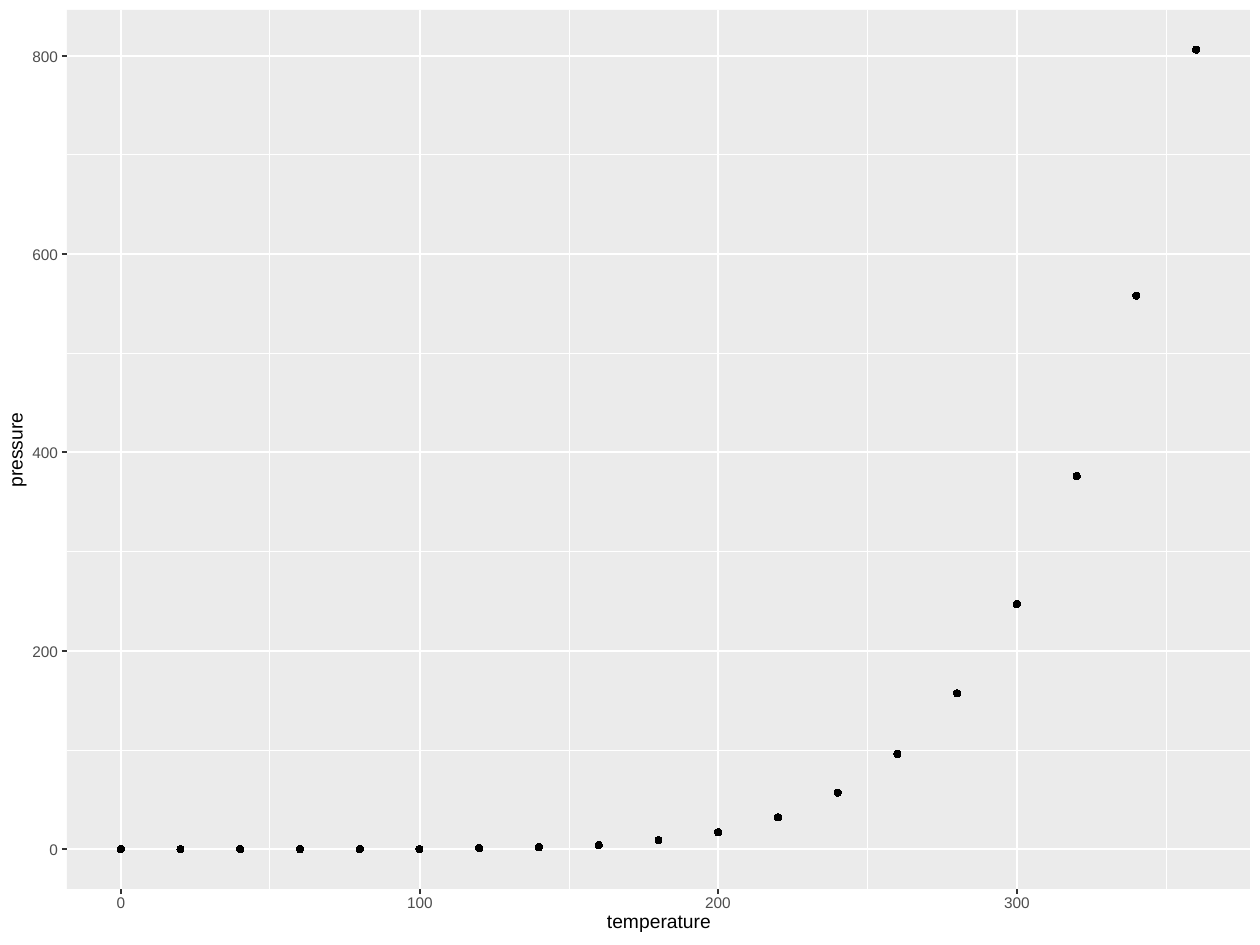
import pptx
import pptx.chart.data
import pptx.dml.color
import pptx.enum.chart
import pptx.enum.shapes
import pptx.enum.text
import pptx.oxml
import pptx.oxml.ns
import pptx.util

SCALE = 914400 / 126
LEFT, TOP, RIGHT, BOTTOM = 67, 10, 1250, 889
X_MIN, X_MAX = -18, 378
Y_MIN, Y_MAX = -40, 846
TEMPERATURES = range(0, 361, 20)
PRESSURES = [0, 0, 0, 0, 0, 0, 1, 2, 4, 9, 17, 32,
             57, 96, 157, 247, 376, 558, 806]
NAMESPACES = pptx.oxml.ns.nsdecls("c", "a")


def px(length):
    """Turn pixels into EMU."""
    return pptx.util.Emu(round(length * SCALE))


def color(value):
    """Turn a hex string into a colour."""
    return pptx.dml.color.RGBColor.from_string(value)


def x_at(value):
    """Give the horizontal place of a temperature, in pixels."""
    return round(LEFT + (value - X_MIN) / (X_MAX - X_MIN) * (RIGHT - LEFT))


def y_at(value):
    """Give the vertical place of a pressure, in pixels."""
    return round(BOTTOM - (value - Y_MIN) / (Y_MAX - Y_MIN) * (BOTTOM - TOP))


def add_panel(page, fill):
    """Add the plain rectangle behind the plot."""
    panel = page.shapes.add_shape(
        pptx.enum.shapes.MSO_SHAPE.RECTANGLE,
        px(LEFT), px(TOP), px(RIGHT - LEFT), px(BOTTOM - TOP))
    panel.shadow.inherit = False
    panel.fill.solid()
    panel.fill.fore_color.rgb = color(fill)
    panel.line.fill.background()


def add_line(page, start, end, stroke="FFFFFF", weight=1.07):
    """Add a straight line between two points."""
    line = page.shapes.add_connector(
        pptx.enum.shapes.MSO_CONNECTOR.STRAIGHT,
        px(start[0]), px(start[1]), px(end[0]), px(end[1]))
    line.line.color.rgb = color(stroke)
    line.line.width = pptx.util.Pt(weight)
    properties = line._element.spPr
    properties.append(pptx.oxml.parse_xml(f"<a:effectLst {NAMESPACES}/>"))


def add_text(page, text, center, width, height=16, size=8.8,
             fill="4D4D4D", align="CENTER", rotation=0):
    """Add a line of text in a box around a centre point."""
    box = page.shapes.add_textbox(
        px(center[0] - width / 2), px(center[1] - height / 2),
        px(width), px(height))
    box.rotation = rotation
    frame = box.text_frame
    frame.word_wrap = True
    frame.vertical_anchor = pptx.enum.text.MSO_ANCHOR.MIDDLE
    frame.margin_left = frame.margin_right = 0
    frame.margin_top = frame.margin_bottom = 0
    para = frame.paragraphs[0]
    para.alignment = pptx.enum.text.PP_ALIGN[align]
    span = para.add_run()
    span.text = text
    span.font.name = "Arial"
    span.font.size = pptx.util.Pt(size)
    span.font.color.rgb = color(fill)


def add_grid(page, x_values, y_values, weight):
    """Add grid lines across the panel at the given values."""
    for value in y_values:
        add_line(page, (LEFT, y_at(value)), (RIGHT, y_at(value)), weight=weight)
    for value in x_values:
        add_line(page, (x_at(value), BOTTOM), (x_at(value), TOP), weight=weight)


def clear_chart_area(chart):
    """Let the plot fill the chart and make its background transparent."""
    space = chart._chartSpace
    plot_area = space.chart.plotArea
    for layout in plot_area.findall(pptx.oxml.ns.qn("c:layout")):
        plot_area.remove(layout)
    plot_area.insert(0, pptx.oxml.parse_xml(
        f'<c:layout {NAMESPACES}><c:manualLayout><c:layoutTarget val="inner"/>'
        '<c:xMode val="edge"/><c:yMode val="edge"/><c:x val="0"/><c:y val="0"/>'
        '<c:w val="1"/><c:h val="1"/></c:manualLayout></c:layout>'))
    clear = (f"<c:spPr {NAMESPACES}><a:noFill/>"
             "<a:ln><a:noFill/></a:ln></c:spPr>")
    plot_area.append(pptx.oxml.parse_xml(clear))
    space.chart.addnext(pptx.oxml.parse_xml(clear))


def add_scatter(page):
    """Add the scatter chart of pressure against temperature."""
    data = pptx.chart.data.XyChartData()
    points = data.add_series("pressure")
    for temperature, pressure in zip(TEMPERATURES, PRESSURES):
        points.add_data_point(temperature, pressure)
    chart = page.shapes.add_chart(
        pptx.enum.chart.XL_CHART_TYPE.XY_SCATTER, px(LEFT), px(TOP),
        px(RIGHT - LEFT), px(BOTTOM - TOP), data).chart
    chart.has_title = False
    chart.has_legend = False
    chart.font.name = "Arial"
    chart.font.size = pptx.util.Pt(8.8)
    chart.font.color.rgb = color("4D4D4D")
    chart.plots[0].vary_by_categories = False
    for axis, low, high in ((chart.category_axis, X_MIN, X_MAX),
                            (chart.value_axis, Y_MIN, Y_MAX)):
        axis.minimum_scale = low
        axis.maximum_scale = high
        axis.has_major_gridlines = False
        axis.visible = False
    series = chart.plots[0].series[0]
    series.format.line.fill.background()
    series.marker.style = pptx.enum.chart.XL_MARKER_STYLE.CIRCLE
    series.marker.size = 4
    series.marker.format.fill.solid()
    series.marker.format.fill.fore_color.rgb = color("000000")
    series.marker.format.line.fill.background()
    clear_chart_area(chart)


def add_axes(page, x_values, y_values):
    """Add tick marks, tick labels and axis titles."""
    for value in y_values:
        y = y_at(value)
        add_line(page, (LEFT - 5, y), (LEFT, y), stroke="333333")
        add_text(page, str(value), (38, y), 40, align="RIGHT")
    for value in x_values:
        x = x_at(value)
        add_line(page, (x, BOTTOM + 5), (x, BOTTOM), stroke="333333")
        add_text(page, str(value), (x, 902), 40)
    add_text(page, "temperature", (659, 921), 120, 20, size=11, fill="000000")
    add_text(page, "pressure", (15, 450), 100, 20, size=11, fill="000000",
             rotation=270)


def main():
    """Build the slide and save it."""
    deck = pptx.Presentation()
    deck.slide_width, deck.slide_height = px(1260), px(945)
    page = deck.slides.add_slide(deck.slide_layouts[6])
    x_major, y_major = range(0, 301, 100), range(0, 801, 200)
    add_panel(page, "EBEBEB")
    add_grid(page, range(50, 351, 100), range(100, 701, 200), 0.53)
    add_grid(page, x_major, y_major, 1.07)
    add_scatter(page)
    add_axes(page, x_major, y_major)
    deck.save("out.pptx")


main()
